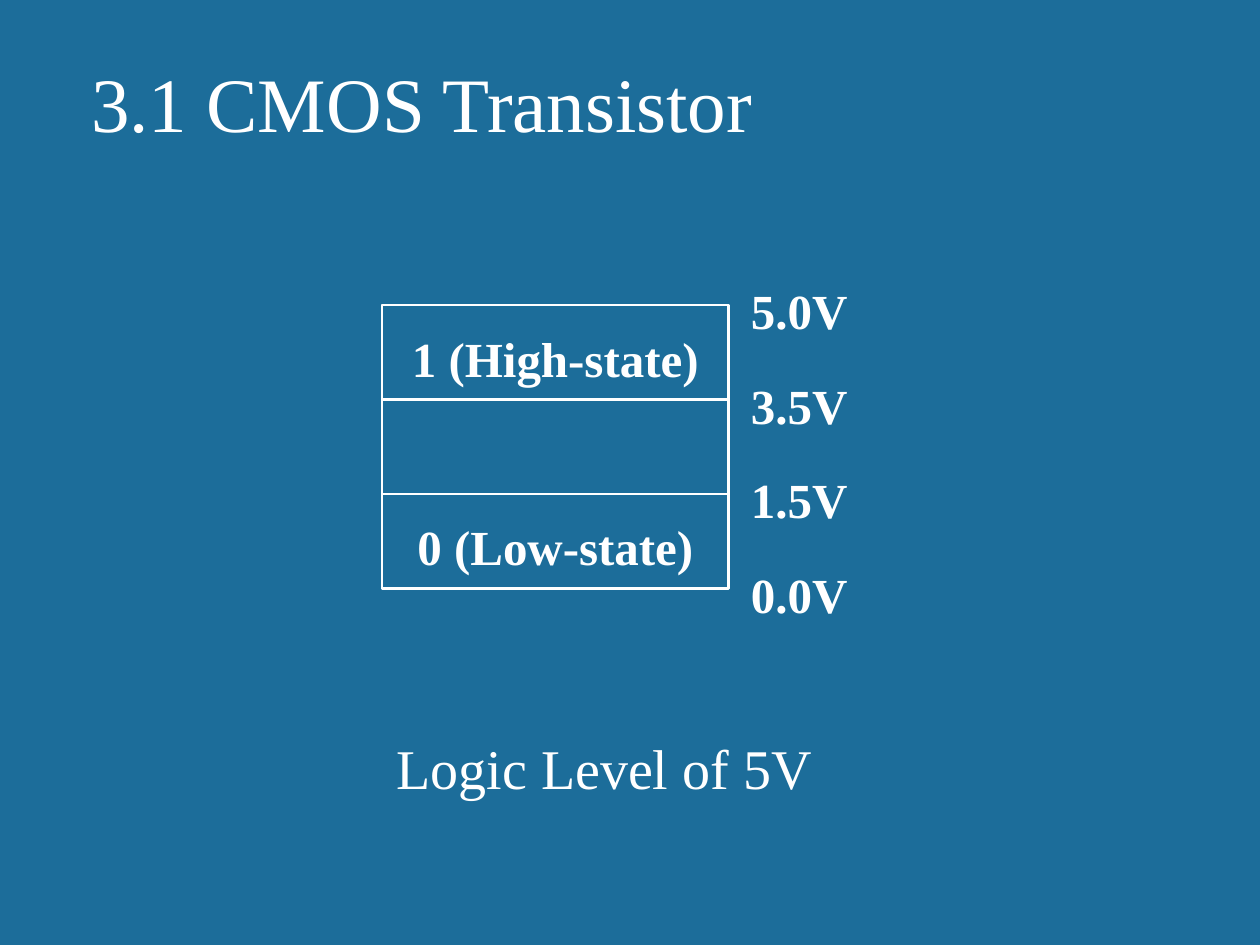
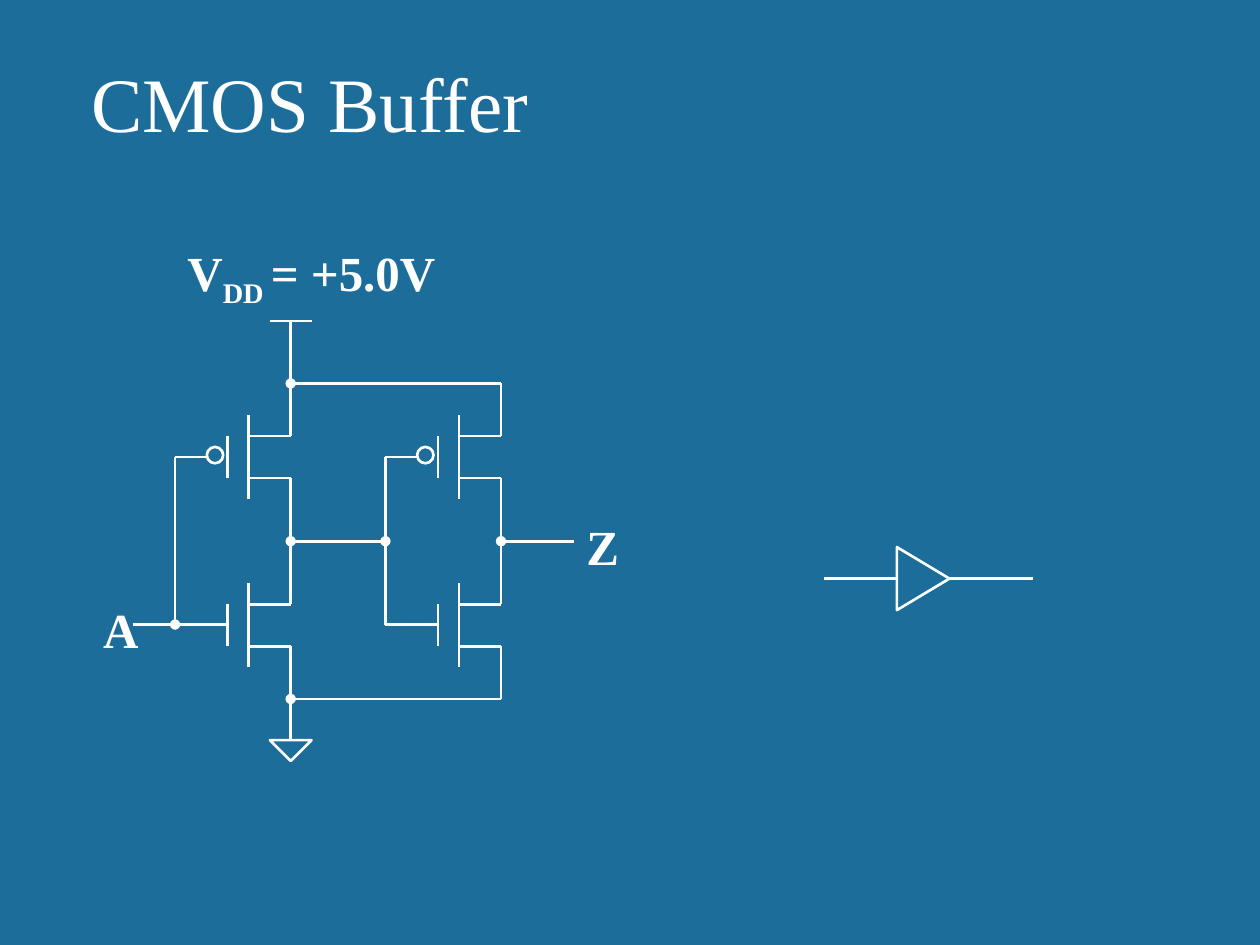
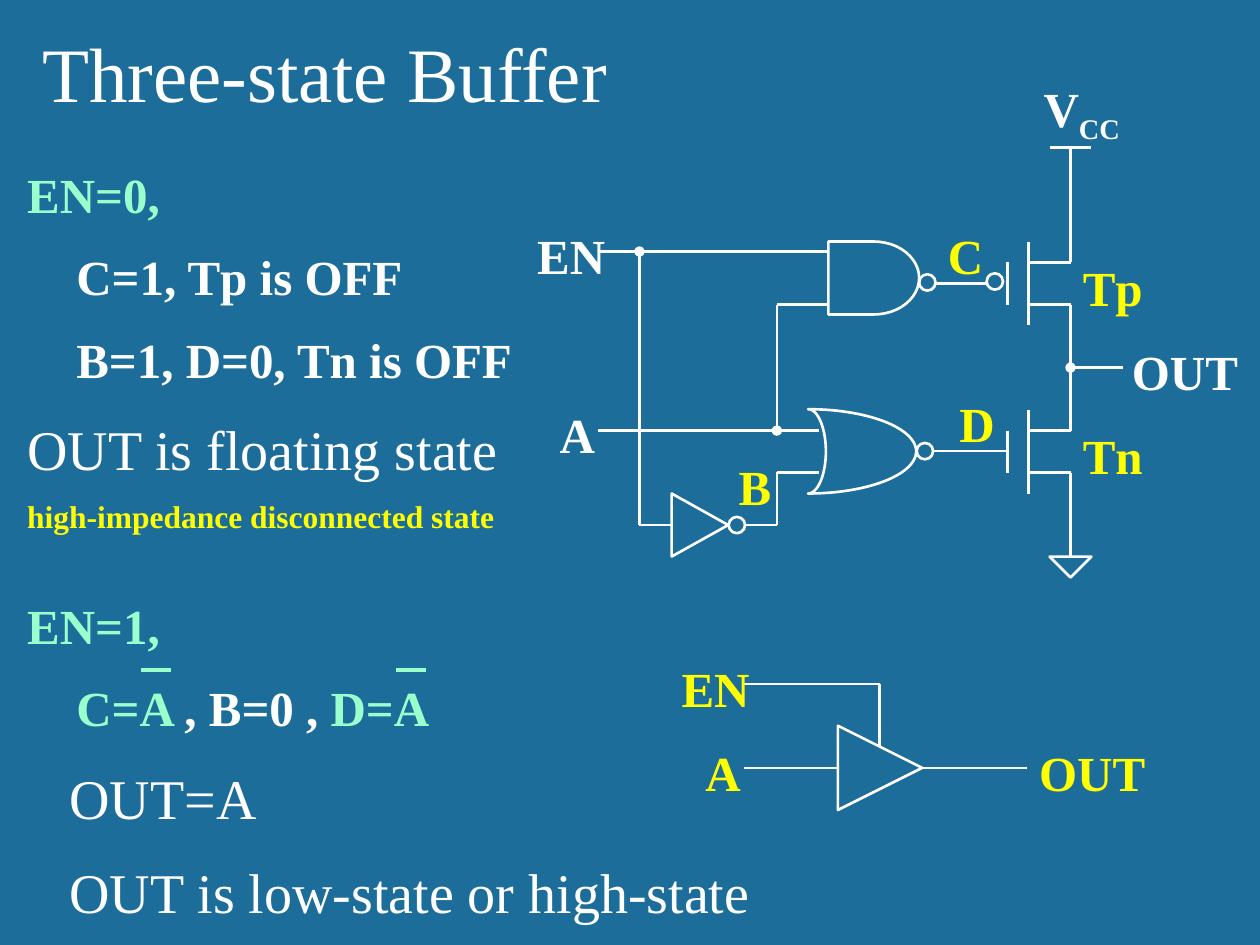
import math

import lxml.etree
import pptx
import pptx.dml.color
import pptx.enum.shapes
import pptx.enum.text
import pptx.oxml.ns
import pptx.util

Cm = pptx.util.Cm
SHAPE = pptx.enum.shapes.MSO_SHAPE
ALIGN = pptx.enum.text.PP_ALIGN
ANCHOR = pptx.enum.text.MSO_ANCHOR
BLUE, WHITE, MINT, YELLOW = "1C6D9A", "FFFFFF", "99FFCC", "FFFF00"
FACE = "Times New Roman"
STEP = 0.42
REACH = 1.27
BUBBLE = 0.33
LOW = 3.39
MID = 2.54
GATE_UP, GATE_LOW = 0.84, 4.22


def color(code):
    return pptx.dml.color.RGBColor.from_string(code)


def style(item, values):
    for name, value in values.items():
        setattr(item, name, value)


def child(node, tag, **attrs):
    return lxml.etree.SubElement(node, pptx.oxml.ns.qn(tag), attrs)


def stroke(line, code=WHITE, width=1.5):
    line.color.rgb = color(code)
    line.width = pptx.util.Pt(width)


def write(par, parts, size, bold, form=None, indent=0):
    if indent:
        par._p.get_or_add_pPr().set("marL", str(Cm(indent)))
    style(par, form or {})
    for text, code, base in parts:
        run = par.add_run()
        run.text = text
        style(run.font, {"name": FACE, "size": pptx.util.Pt(size), "bold": bold})
        run.font.color.rgb = color(code)
        if base:
            run.font._element.set("baseline", str(base))


def frame(slide, x, y, w, h, wrap=True):
    box = slide.shapes.add_textbox(Cm(x), Cm(y), Cm(w), Cm(h))
    box.text_frame.word_wrap = wrap
    return box.text_frame


def title(slide, text, x=1.59, y=0.99):
    area = frame(slide, x, y, 21.59, 2.11)
    area.vertical_anchor = ANCHOR.BOTTOM
    write(area.paragraphs[0], [(text, WHITE, 0)], 44, False)


def label(slide, x, y, w, text, code=WHITE, sub="", rest=""):
    parts = [(text, code, 0), (sub, code, -25000), (rest, code, 0)]
    area = frame(slide, x, y, w, 1.45, False)
    write(area.paragraphs[0], [part for part in parts if part[0]], 28, True)


def labels(slide, x, y, rows):
    for dx, dy, *rest in rows:
        label(slide, x + dx, y + dy, *rest)


def wire(slide, x, y, *points, head=False, tail=False, code=WHITE, width=1.5):
    last = len(points) - 2
    for i, (start, end) in enumerate(zip(points, points[1:])):
        ends = [Cm(base + v) for point in (start, end) for base, v in zip((x, y), point)]
        line = slide.shapes.add_connector(pptx.enum.shapes.MSO_CONNECTOR.STRAIGHT, *ends)
        stroke(line.line, code, width)
        ln = line.line._get_or_add_ln()
        if head and i == 0:
            child(ln, "a:headEnd", type="oval")
        if tail and i == last:
            child(ln, "a:tailEnd", type="oval")
        child(line._element.spPr, "a:effectLst")


def hollow(shape):
    shape.shadow.inherit = False
    shape.fill.background()
    stroke(shape.line)
    return shape


def outline(slide, kind, x, y, w, h, turn=0):
    shape = hollow(slide.shapes.add_shape(kind, Cm(x), Cm(y), Cm(w), Cm(h)))
    shape.rotation = turn
    return shape


def bubble(slide, x, y):
    outline(slide, SHAPE.OVAL, x, y, BUBBLE, BUBBLE)


def wedge(slide, x, y, w, h):
    shift = (w - h) / 2
    outline(slide, SHAPE.ISOSCELES_TRIANGLE, x + shift, y - shift, h, w, 90)


def fet(slide, x, y):
    wire(slide, x, y, (0, STEP), (0, REACH))
    wire(slide, x, y, (STEP, 0), (STEP, REACH + STEP))
    for level in (STEP, REACH):
        wire(slide, x, y, (STEP, level), (REACH, level))


def pair(slide, x, y, out, tail=False):
    fet(slide, x, y)
    fet(slide, x, y + LOW)
    bubble(slide, x - STEP, y + 0.64)
    wire(slide, x, y, (REACH, REACH), (REACH, LOW + STEP))
    wire(slide, x, y, (REACH, MID), (REACH + out, MID), head=True, tail=tail)


def power(slide, x, y, foot):
    top = -1.9
    wire(slide, x, y, (REACH, STEP), (REACH, top))
    wire(slide, x, y, (REACH - STEP, top), (REACH + STEP, top))
    wire(slide, x, y, (REACH, LOW + REACH), (REACH, foot))
    outline(slide, SHAPE.ISOSCELES_TRIANGLE, x + REACH - STEP, y + foot,
            2 * STEP, STEP, 180)


def symbol(slide, x, y, w, h, into, out):
    wedge(slide, x, y, w, h)
    wire(slide, x, y, (-into, h / 2), (0, h / 2))
    wire(slide, x, y, (w, h / 2), (w + out, h / 2))


def nor(slide, x, y, w, h, dent):
    turns = [math.radians(d) for d in range(-90, 91, 3)]
    front = [(w * math.cos(t), math.sin(t)) for t in turns]
    back = [(dent * math.cos(t), math.sin(t)) for t in reversed(turns)]
    points = [(Cm(x + dx), Cm(y + h / 2 * (1 + dy))) for dx, dy in front + back]
    build = slide.shapes.build_freeform(*points[0])
    build.add_line_segments(points[1:], close=True)
    hollow(build.convert_to_shape())


def levels(slide, x, y, w, h):
    area = outline(slide, SHAPE.RECTANGLE, x, y, w, h).text_frame
    style(area, {"word_wrap": False, "vertical_anchor": ANCHOR.TOP})
    form = {"alignment": ALIGN.CENTER, "line_spacing": 1.3}
    write(area.paragraphs[0], [("1 (High-state)", WHITE, 0)], 28, True, form)
    form["space_before"] = pptx.util.Pt(63.5)
    write(area.add_paragraph(), [("0 (Low-state)", WHITE, 0)], 28, True, form)
    band = h / 3
    for i in (1, 2):
        wire(slide, x, y, (0, i * band), (w, i * band))
    for i, volt in enumerate(("5.0V", "3.5V", "1.5V", "0.0V")):
        label(slide, x + w + 0.2, y - 0.61 + i * band, 2.49, volt)


def buffer(slide, x, y):
    gap, bend, foot = 4.24, -1.06, 6.55
    for dx, out, tail in ((0, gap + bend - REACH, True), (gap, 1.47, False)):
        pair(slide, x + dx, y, out, tail)
        wire(slide, x + dx, y, (-STEP, GATE_UP), (bend, GATE_UP),
             (bend, GATE_LOW), (0, GATE_LOW))
    power(slide, x, y, foot)
    wire(slide, x, y, (bend, GATE_LOW), (-1.9, GATE_LOW), head=True)
    for rail, pin in ((-0.64, STEP), (5.72, LOW + REACH)):
        wire(slide, x, y, (REACH, rail), (gap + REACH, rail),
             (gap + REACH, pin), head=True)
    labels(slide, x, y, [
        (-1.06, -3.61, 5.72, "V", WHITE, "DD ", "= +5.0V"),
        (-2.76, 3.6, 1.24, "A"),
        (6.98, 1.91, 1.17, "Z"),
    ])


def logic(slide, x, y):
    left, top = 8.26, -0.2
    pair(slide, x + left, y + top, 1.06)
    power(slide, x + left, y + top, 6.35)
    outline(slide, SHAPE.FLOWCHART_DELAY, x + 4.65, y + top, 1.83, 1.47)
    nor(slide, x + 4.24, y + 3.18, 2.18, 1.7, 0.36)
    wedge(slide, x + 1.49, y + 4.88, 1.14, 1.27)
    for dx, dy in ((6.48, 0.46), (6.43, 3.86), (2.64, 5.35)):
        bubble(slide, x + dx, y + dy)
    wire(slide, x, y, (6.81, 0.64), (left - STEP, 0.64))
    wire(slide, x, y, (6.78, 4.02), (left, 4.02))
    wire(slide, x, y, (0, 0), (4.65, 0))
    wire(slide, x, y, (0, 3.61), (4.47, 3.61))
    wire(slide, x, y, (0.84, 0), (0.84, 5.51), (1.49, 5.51), head=True)
    wire(slide, x, y, (3.61, 3.61), (3.61, 1.07), (4.65, 1.07), head=True)
    wire(slide, x, y, (2.97, 5.51), (3.61, 5.51), (3.61, 4.45), (4.45, 4.45))
    labels(slide, x, y, [
        (8.74, -3.61, 2.18, "V", WHITE, "CC"),
        (10.52, 1.7, 2.67, "OUT"),
        (-1.47, -0.64, 1.9, "EN"),
        (-1.02, 2.97, 1.24, "A"),
        (2.59, 4.01, 1.17, "B", YELLOW),
        (6.81, -0.64, 1.24, "C", YELLOW),
        (7.04, 2.74, 1.24, "D", YELLOW),
        (9.53, 0, 1.73, "Tp", YELLOW),
        (9.53, 3.39, 1.73, "Tn", YELLOW),
    ])


def enable(slide, x, y):
    symbol(slide, x, y, 1.7, 1.7, 1.9, 2.11)
    wire(slide, x, y, (0.84, 0.43), (0.84, -0.84), (-1.9, -0.84))
    labels(slide, x, y, [
        (-2.92, 0.21, 1.24, "A", YELLOW),
        (-3.4, -1.47, 1.9, "EN", YELLOW),
        (3.81, 0.21, 2.67, "OUT", YELLOW),
    ])


def notes(slide, x, y, w, h):
    rows = [
        ([("EN=0,", MINT, 0)], 28, True, 0, 0),
        ([("C=1, Tp is OFF", WHITE, 0)], 28, True, 0.99, 0),
        ([("B=1, D=0, Tn is OFF", WHITE, 0)], 28, True, 0.99, 0),
        ([("OUT is floating state", WHITE, 0)], 32, False, 0, 0),
        ([("high-impedance disconnected state", YELLOW, 0)], 18, True, 0, 0),
        ([("EN=1,", MINT, 0)], 28, True, 0, 21),
        ([("C=A ", MINT, 0), (", B=0 , ", WHITE, 0), ("D=A", MINT, 0)],
         28, True, 0.99, 0),
        ([("OUT=A", WHITE, 0)], 32, False, 0.85, 0),
        ([("OUT is low-state or high-state", WHITE, 0)], 32, False, 0.85, 0),
    ]
    area = frame(slide, x, y, w, h)
    for i, (parts, size, bold, indent, before) in enumerate(rows):
        par = area.add_paragraph() if i else area.paragraphs[0]
        form = {"line_spacing": 1.4}
        if before:
            form["space_before"] = pptx.util.Pt(before)
        write(par, parts, size, bold, form, indent)
    for bar in (2.54, 7.68):
        wire(slide, x, y, (bar, 10.79), (bar + 0.61, 10.79), code=MINT, width=2)


def main():
    deck = pptx.Presentation()
    style(deck, {"slide_width": Cm(25.4), "slide_height": Cm(19.05)})
    fill = deck.slide_master.background.fill
    fill.solid()
    fill.fore_color.rgb = color(BLUE)
    first, second, third = [deck.slides.add_slide(deck.slide_layouts[6])
                            for _ in range(3)]

    title(first, "3.1 CMOS Transistor")
    levels(first, 7.7, 6.15, 6.99, 5.71)
    area = frame(first, 7.7, 14.12, 8.97, 1.96, False)
    write(area.paragraphs[0], [("Logic Level of 5V", WHITE, 0)], 32, False,
          {"alignment": ALIGN.CENTER, "line_spacing": 1.4})

    title(second, "CMOS Buffer")
    buffer(second, 4.59, 8.37)
    symbol(second, 18.08, 11.03, 1.06, 1.27, 1.47, 1.69)

    title(third, "Three-state Buffer", 0.6, 0.4)
    notes(third, 0.3, 2.72, 20.6, 16.05)
    logic(third, 12.05, 5.07)
    enable(third, 16.89, 14.63)

    deck.save("out.pptx")


if __name__ == "__main__":
    main()
